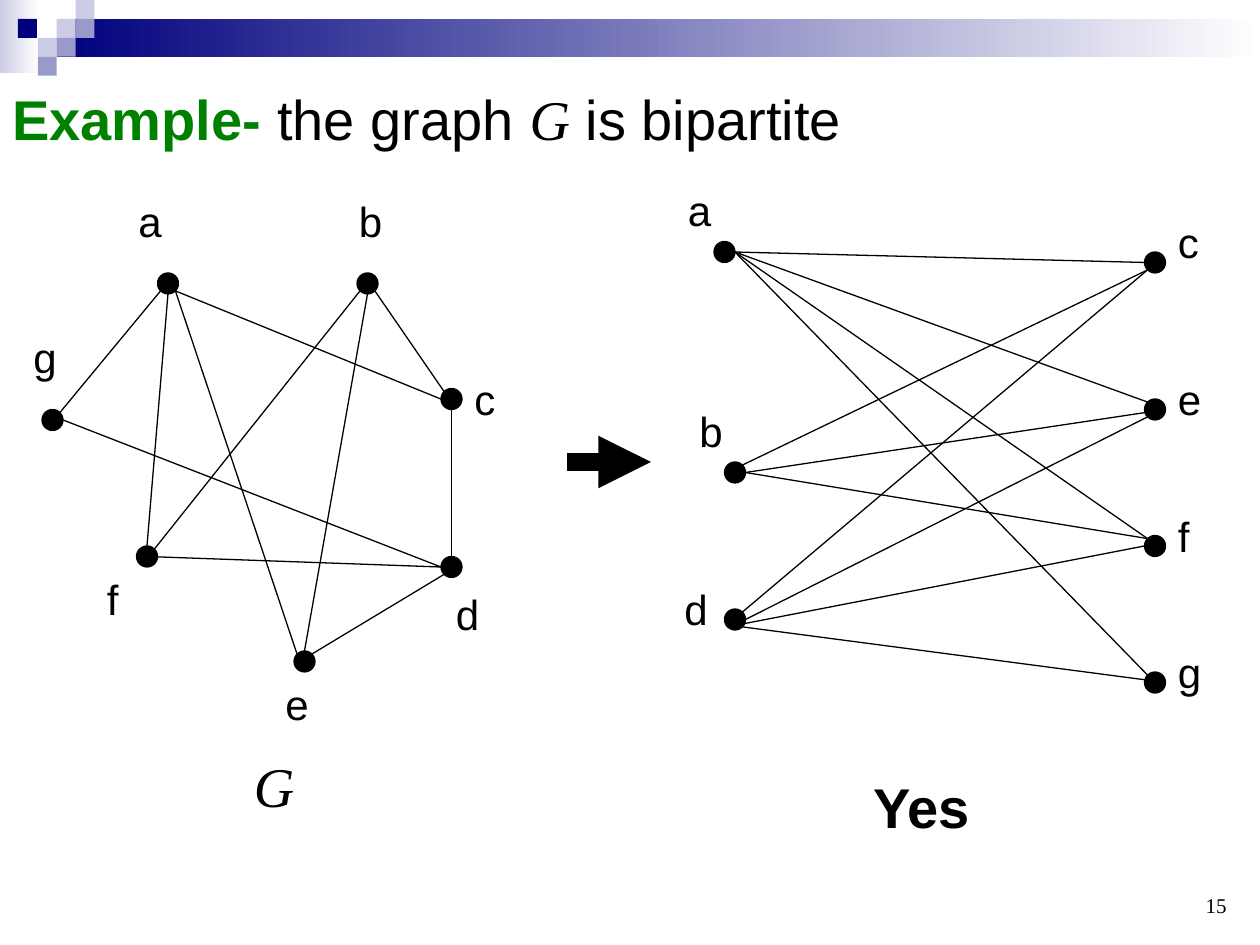
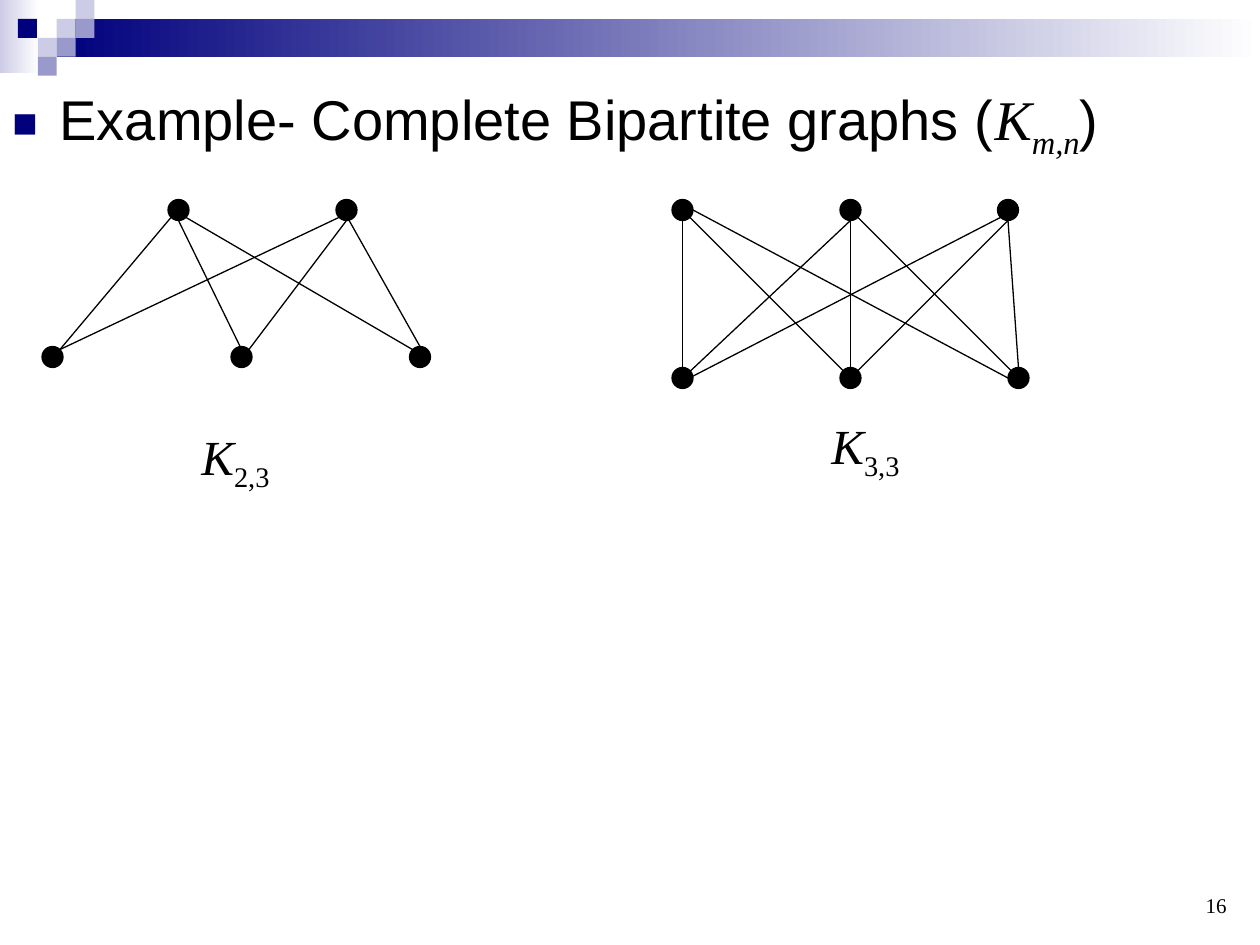
from lxml import etree
from pptx import Presentation
from pptx.dml.color import RGBColor
from pptx.enum.shapes import MSO_CONNECTOR, MSO_SHAPE
from pptx.enum.text import MSO_ANCHOR, PP_ALIGN
from pptx.oxml.ns import qn
from pptx.util import Pt

LINE = MSO_CONNECTOR.STRAIGHT
RECT = MSO_SHAPE.RECTANGLE
OVAL = MSO_SHAPE.OVAL
TOP, BOTTOM = MSO_ANCHOR.TOP, MSO_ANCHOR.BOTTOM
LEFT, RIGHT = PP_ALIGN.LEFT, PP_ALIGN.RIGHT
SANS, SERIF = "Arial", "Times New Roman"

hues = {"ink": "000000", "green": "008000", "navy": "00007D",
        "pale": "CCCCE6", "mid": "9999CC", "white": "FFFFFF"}
rgb = {name: RGBColor.from_string(code) for name, code in hues.items()}


def write(slide, box, text, size=24, font=SANS, bold=False, italic=False,
          align=LEFT, anchor=TOP, wrap=False, top=3.6, hang=0, bullet=None):
    frame = slide.shapes.add_textbox(*map(Pt, box)).text_frame
    frame.word_wrap = wrap
    frame.vertical_anchor = anchor
    frame.margin_top = Pt(top)
    para = frame.paragraphs[0]
    para.alignment = align
    if hang:
        props = para._p.get_or_add_pPr()
        props.set("marL", str(Pt(hang)))
        props.set("indent", str(-Pt(hang)))
        if bullet:
            tint = etree.SubElement(props, qn("a:buClr"))
            etree.SubElement(tint, qn("a:srgbClr"), val=hues["navy"])
            etree.SubElement(props, qn("a:buSzPct"), val="75000")
            etree.SubElement(props, qn("a:buFont"), typeface=SANS)
            etree.SubElement(props, qn("a:buChar"), char=bullet)
    for words, style in [(text, {})] if isinstance(text, str) else text:
        run = para.add_run()
        run.text = words
        run.font.size = Pt(size)
        run.font.name = style.get("font", font)
        run.font.bold = style.get("bold", bold)
        run.font.italic = style.get("italic", italic)
        run.font.color.rgb = rgb[style.get("hue", "ink")]
        if style.get("sub"):
            run.font._element.set("baseline", "-25000")


def link(slide, start, end, width=0.75, arrow=False):
    wire = slide.shapes.add_connector(LINE, *map(Pt, (*start, *end)))
    wire.line.color.rgb = rgb["ink"]
    wire.line.width = Pt(width)
    if arrow:
        etree.SubElement(wire.line._get_or_add_ln(), qn("a:tailEnd"), type="triangle")
    etree.SubElement(wire._element.spPr, qn("a:effectLst"))


unit = 10.8
bands = [
    (0, 0, 22.2, 42, "pale", "white"),
    (3 * unit, unit, 687.6, 2 * unit, "navy", "white"),
]
for col, row, hue in [(3, 1, "pale"), (4, 0, "pale"), (4, 1, "mid"), (2, 2, "pale"),
                      (0.95, 1, "navy"), (3, 2, "mid"), (2, 3, "mid")]:
    bands.append((col * unit, row * unit, unit, unit, hue, None))

math = {"font": SERIF, "italic": True}
pages = [
    {
        "page": "15",
        "title": [("Example-", {"bold": True, "hue": "green"}), (" the graph ", {}),
                  ("G", math), (" is bipartite", {})],
        "box": (0, 42, 648, 54),
        "bullet": None,
        "graphs": [
            ({"a": (96, 162, 72, 108), "b": (210, 162, 198, 108),
              "g": (30, 240, 12, 186), "f": (84, 318, 54, 324),
              "e": (174, 378, 156, 384), "d": (258, 324, 253.5, 333),
              "c": (258, 228, 264, 210)},
             "b.se-c.nw c.s-d.n b.sw-f.ne e.n-b.s g.ne-a.sw a.se-c.se "
             "a.se-e.nw a.s-f.n g.e-d.w f.o-d.w e.ne-d.sw"),
            ({"a": (414, 144, 386, 102), "b": (420, 270, 392.5, 228),
              "d": (420, 354, 384, 330), "c": (660, 150, 666, 120),
              "e": (660, 234, 666, 210), "f": (660, 312, 666, 288),
              "g": (660, 390, 666, 366)},
             "b.e-f.nw e.e-b.e g.nw-a.e a.e-c.w a.e-e.nw a.e-f.nw "
             "g.e-d.se f.w-d.sw e.sw-d.e b.ne-c.sw c.sw-d.ne"),
        ],
        "notes": [
            ((138, 426, 38, 46), "G", {"size": 32, **math}),
            ((492, 438, 79, 46), "Yes", {"size": 32, "bold": True}),
        ],
        "arrow": ((324, 264), (372, 264)),
    },
    {
        "page": "16",
        "title": [("Example- Complete Bipartite graphs (", {}), ("K", math),
                  ("m,n", {**math, "sub": True}), (")", {})],
        "box": (0, 42, 696, 48),
        "bullet": "■",
        "graphs": [
            ({"p": (102, 120), "q": (198, 120),
              "r": (30, 204), "s": (138, 204), "t": (240, 204)},
             "p.sw-r.ne p.s-s.se q.sw-r.ne p.se-t.nw q.s-s.ne q.nw-t.n"),
            ({"u": (390, 120), "v": (486, 120), "w": (576, 120),
              "x": (390, 216), "y": (486, 216), "z": (582, 216)},
             "u.s-x.n u.se-y.nw v.s-x.sw v.se-z.se w.s-y.sw w.s-z.n "
             "v.s-y.n u.e-z.w w.sw-x.sw"),
        ],
        "notes": [
            ((x, y, 57, 41), [("K", {"italic": True}), (sub, {"sub": True})],
             {"size": 28, "font": SERIF})
            for x, y, sub in [(108, 240, "2,3"), (468, 234, "3,3")]
        ],
        "arrow": None,
    },
]

rad, diag = 6, 4.24
sides = {"o": (0, 0), "n": (0, -rad), "s": (0, rad), "w": (-rad, 0), "e": (rad, 0),
         "nw": (-diag, -diag), "ne": (diag, -diag),
         "sw": (-diag, diag), "se": (diag, diag)}
widths = {"f": 21, "c": 26.6}

deck = Presentation()
deck.slide_width, deck.slide_height = Pt(720), Pt(540)

for page in pages:
    slide = deck.slides.add_slide(deck.slide_layouts[6])
    for x, y, wide, high, hue, fade in bands:
        band = slide.shapes.add_shape(RECT, *map(Pt, (x, y, wide, high)))
        band.shadow.inherit = False
        band.line.fill.background()
        if fade:
            band.fill.gradient()
            band.fill.gradient_angle = 0
            for stop, tone, spot in zip(band.fill.gradient_stops, (hue, fade), (0, 1)):
                stop.color.rgb = rgb[tone]
                stop.position = spot
        else:
            band.fill.solid()
            band.fill.fore_color.rgb = rgb[hue]

    write(slide, page["box"], page["title"], size=32, wrap=True, top=6.4,
          hang=27, bullet=page["bullet"])
    write(slide, (540, 492, 168, 36), page["page"], size=12, font=SERIF,
          align=RIGHT, anchor=BOTTOM, wrap=True)

    for nodes, edges in page["graphs"]:
        for edge in edges.split():
            ends = []
            for end in edge.split("-"):
                name, side = end.split(".")
                ends.append((nodes[name][0] + sides[side][0],
                             nodes[name][1] + sides[side][1]))
            link(slide, *ends)
        for name, (x, y, *spot) in nodes.items():
            dot = slide.shapes.add_shape(OVAL, *map(Pt, (x - rad, y - rad, 2 * rad, 2 * rad)))
            dot.shadow.inherit = False
            dot.fill.solid()
            dot.fill.fore_color.rgb = rgb["ink"]
            dot.line.color.rgb = rgb["ink"]
            dot.line.width = Pt(0.75)
            if spot:
                write(slide, (*spot, widths.get(name, 28), 36), name)

    for box, text, style in page["notes"]:
        write(slide, box, text, **style)
    if page["arrow"]:
        link(slide, *page["arrow"], width=10, arrow=True)

deck.save("out.pptx")
